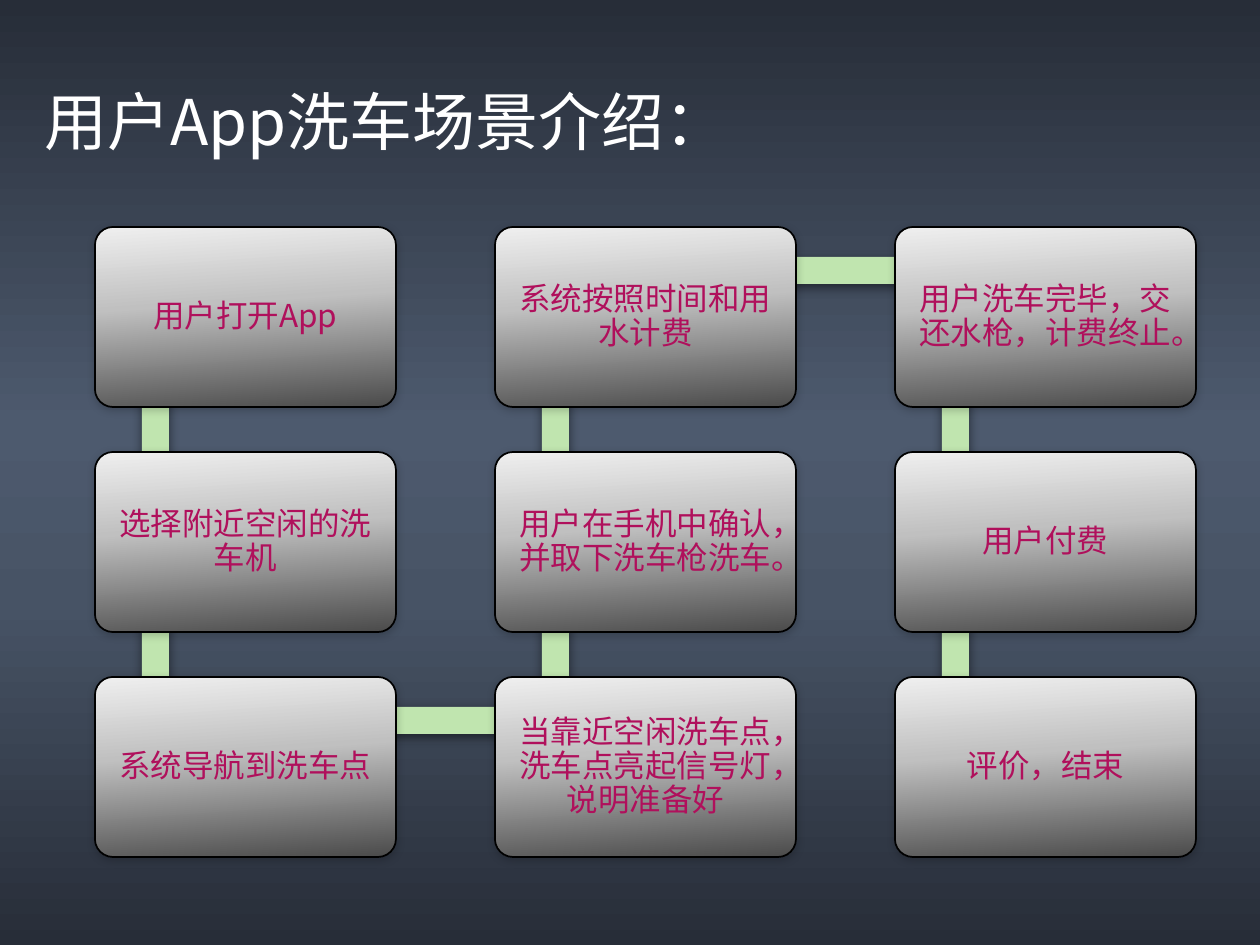
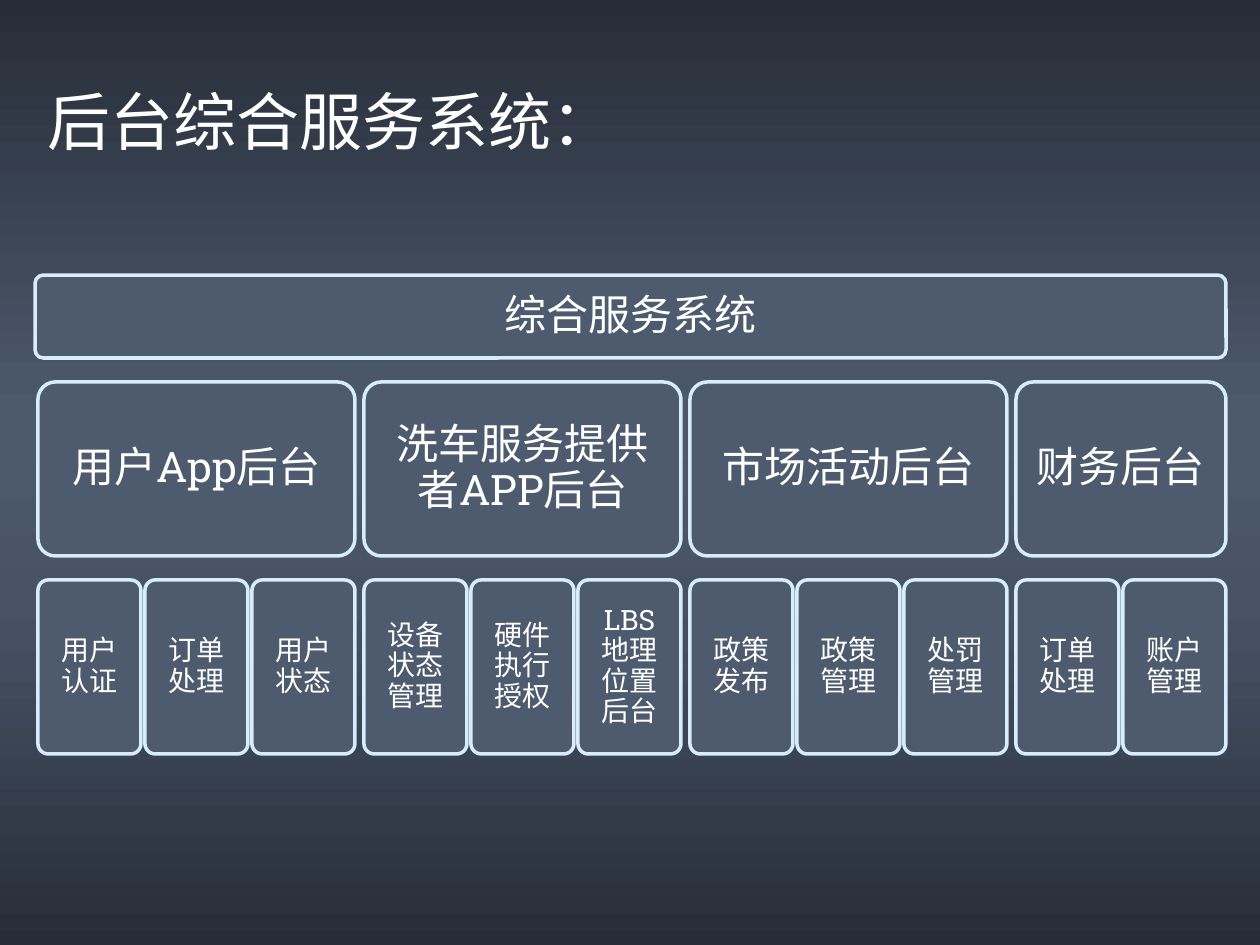
import dataclasses

import lxml.etree
import pptx
import pptx.dml.color
import pptx.enum.shapes
import pptx.enum.text
import pptx.oxml.ns
import pptx.util

SHAPES = pptx.enum.shapes.MSO_SHAPE
ALIGN = pptx.enum.text.PP_ALIGN
ANCHOR = pptx.enum.text.MSO_ANCHOR
AUTO_SIZE = pptx.enum.text.MSO_AUTO_SIZE
EMU_PER_PX = 914400 / 126


@dataclasses.dataclass(frozen=True)
class Theme:
    backdrop: tuple = ((0, "272D38"), (45, "4D5A6E"), (64, "475365"), (100, "272D38"))
    step_fill: tuple = ((0, "EFEFEF"), (42, "C0C0C0"), (100, "4B4B4B"))
    step_line: str = "000000"
    step_text: str = "B0105C"
    link_fill: str = "C0E5AF"
    block_fill: str = "4E5B6F"
    block_line: str = "D6ECFF"
    white: str = "FFFFFF"
    sans: str = "Noto Sans CJK JP"
    slab: str = "Roboto Slab"
    title_size: int = 36
    block_size: int = 24
    step_size: int = 18
    leaf_size: int = 16


THEME = Theme()

STEPS = (
    (0, 0, "用户打开App"),
    (0, 1, "选择附近空闲的洗车机"),
    (0, 2, "系统导航到洗车点"),
    (1, 2, "当靠近空闲洗车点，洗车点亮起信号灯，说明准备好"),
    (1, 1, "用户在手机中确认，并取下洗车枪洗车。"),
    (1, 0, "系统按照时间和用水计费"),
    (2, 0, "用户洗车完毕，交还水枪，计费终止。"),
    (2, 1, "用户付费"),
    (2, 2, "评价，结束"),
)

BACKENDS = (
    ("用户App后台", ("用户认证", "订单处理", "用户状态")),
    ("洗车服务提供者APP后台", ("设备状态管理", "硬件执行授权", "LBS地理位置后台")),
    ("市场活动后台", ("政策发布", "政策管理", "处罚管理")),
    ("财务后台", ("订单处理", "账户管理")),
)


def px(length):
    return pptx.util.Emu(round(length * EMU_PER_PX))


def rgb(color):
    return pptx.dml.color.RGBColor.from_string(color)


def set_format(target, values):
    for name, value in values.items():
        setattr(target, name, value)


def add_element(parent, tag, **attributes):
    element = lxml.etree.SubElement(parent, pptx.oxml.ns.qn(tag))
    for name, value in attributes.items():
        element.set(name, str(value))
    return element


def set_gradient(fill, owner, stops, angle):
    fill.gradient()
    gradient = next(owner.iter(pptx.oxml.ns.qn("a:gradFill")))
    stop_list = gradient.find(pptx.oxml.ns.qn("a:gsLst"))
    for stop in list(stop_list):
        stop_list.remove(stop)
    for position, color in stops:
        stop = add_element(stop_list, "a:gs", pos=position * 1000)
        add_element(stop, "a:srgbClr", val=color)
    gradient.find(pptx.oxml.ns.qn("a:lin")).set("ang", str(angle * 60000))


def set_shadow(shape, opacity, blur, distance):
    effects = shape.element.spPr.find(pptx.oxml.ns.qn("a:effectLst"))
    shadow = add_element(effects, "a:outerShdw", blurRad=blur * 12700,
                         dist=distance * 12700, dir=5400000, rotWithShape=0)
    color = add_element(shadow, "a:srgbClr", val="000000")
    add_element(color, "a:alpha", val=opacity * 1000)


def write(text_frame, text, size, font, color, paragraph_format, frame_format):
    set_format(text_frame, frame_format)
    paragraph = text_frame.paragraphs[0]
    set_format(paragraph, paragraph_format)
    run = paragraph.add_run()
    run.text = text
    set_format(run.font, {"size": pptx.util.Pt(size), "name": font})
    run.font.color.rgb = rgb(color)
    add_element(run.font._element, "a:ea", typeface=THEME.sans)


def add_shape(slide, kind, box):
    shape = slide.shapes.add_shape(kind, *map(px, box))
    shape.shadow.inherit = False
    return shape


def add_card(slide, box, text, size, font, color, line, line_width, inset):
    card = add_shape(slide, SHAPES.ROUNDED_RECTANGLE, box)
    card.adjustments[0] = 0.1
    card.line.color.rgb = rgb(line)
    card.line.width = pptx.util.Pt(line_width)
    sides = ("margin_left", "margin_top", "margin_right", "margin_bottom")
    write(card.text_frame, text, size, font, color,
          {"alignment": ALIGN.CENTER, "line_spacing": 0.9},
          {"word_wrap": True, "vertical_anchor": ANCHOR.MIDDLE,
           **dict.fromkeys(sides, px(inset))})
    return card


def add_titled_slide(presentation, title, box, wrap):
    slide = presentation.slides.add_slide(presentation.slide_layouts[6])
    set_gradient(slide.background.fill, slide.element, THEME.backdrop, 90)
    text_box = slide.shapes.add_textbox(*map(px, box))
    write(text_box.text_frame, title, THEME.title_size, THEME.sans, THEME.white,
          {"alignment": ALIGN.LEFT},
          {"word_wrap": wrap, "auto_size": AUTO_SIZE.SHAPE_TO_FIT_TEXT})
    return slide


def add_link(slide, left, top, vertical):
    box = (left + 47, top + 43, 27, 225) if vertical else (left + 61, top + 30, 398, 27)
    link = add_shape(slide, SHAPES.RECTANGLE, box)
    link.fill.solid()
    link.fill.fore_color.rgb = rgb(THEME.link_fill)
    link.line.fill.background()
    set_shadow(link, 50, 6, 2)


def add_step(slide, box, text):
    card = add_card(slide, box, text, THEME.step_size, THEME.sans,
                    THEME.step_text, THEME.step_line, 1, 9)
    set_gradient(card.fill, card.element, THEME.step_fill, 86)
    set_shadow(card, 20, 5, 1)


def add_step_flow(slide, box):
    left, top, width, height = box
    card_width, card_height = 301, 180
    column_pitch = (width - card_width) // 2
    row_pitch = (height - card_height) // 2
    for (column, row, _), (next_column, next_row, _) in zip(STEPS, STEPS[1:]):
        add_link(slide, left + column * column_pitch,
                 top + min(row, next_row) * row_pitch, column == next_column)
    for column, row, text in STEPS:
        add_step(slide, (left + column * column_pitch, top + row * row_pitch,
                         card_width, card_height), text)


def add_block(slide, box, text, size, font, inset):
    block = add_card(slide, box, text, size, font, THEME.white,
                     THEME.block_line, 2, inset)
    block.fill.solid()
    block.fill.fore_color.rgb = rgb(THEME.block_fill)


def add_backend_tree(slide, box):
    left, top, width, height = box
    row_height, leaf_width, leaf_gap, backend_gap = 174, 103, 4, 9
    leaf_pitch = leaf_width + leaf_gap
    leaf_top = top + height - row_height
    add_block(slide, (left, top, width, 83), "综合服务系统",
              THEME.block_size, THEME.sans, 13)
    backend_left = left + 3
    for name, leaves in BACKENDS:
        backend_width = len(leaves) * leaf_pitch - leaf_gap
        add_block(slide, (backend_left, top + 107, backend_width, row_height),
                  name, THEME.block_size, THEME.slab, 13)
        for index, leaf in enumerate(leaves):
            add_block(slide, (backend_left + index * leaf_pitch, leaf_top,
                              leaf_width, row_height),
                      leaf, THEME.leaf_size, THEME.slab, 9)
        backend_left += backend_width + backend_gap


def main():
    presentation = pptx.Presentation()
    set_format(presentation, {"slide_width": px(1260), "slide_height": px(945)})
    flow_slide = add_titled_slide(presentation, "用户App洗车场景介绍：",
                                  (32, 76, 712, 89), False)
    add_step_flow(flow_slide, (95, 227, 1101, 630))
    backend_slide = add_titled_slide(presentation, "后台综合服务系统：",
                                     (35, 76, 794, 89), True)
    add_backend_tree(backend_slide, (35, 275, 1191, 479))
    presentation.save("out.pptx")


if __name__ == "__main__":
    main()
